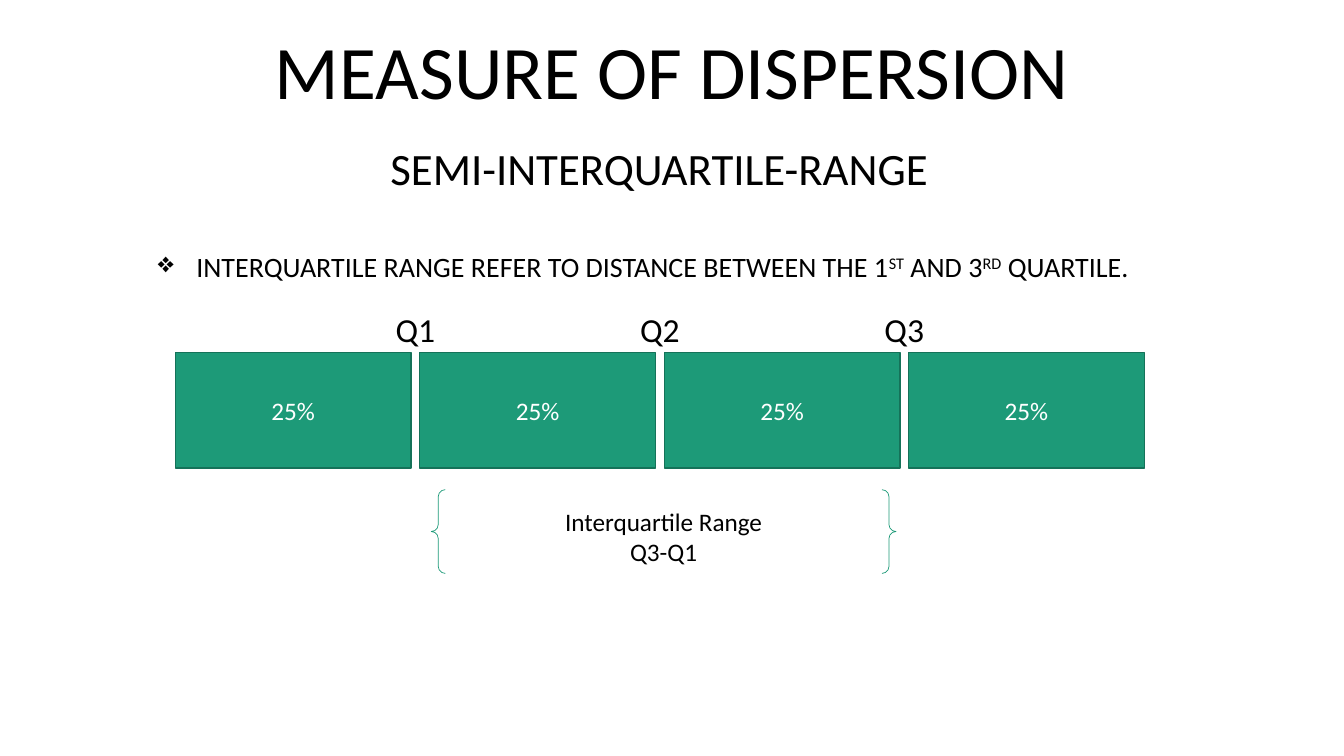
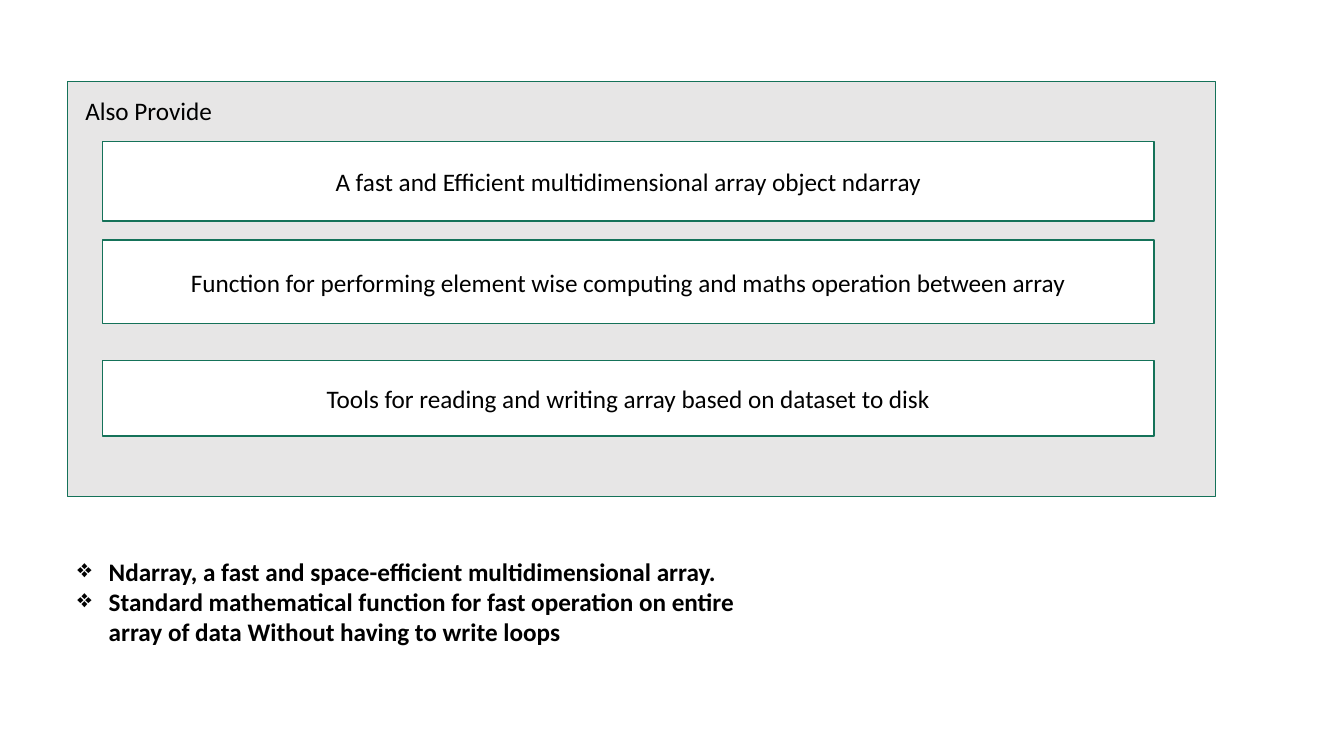
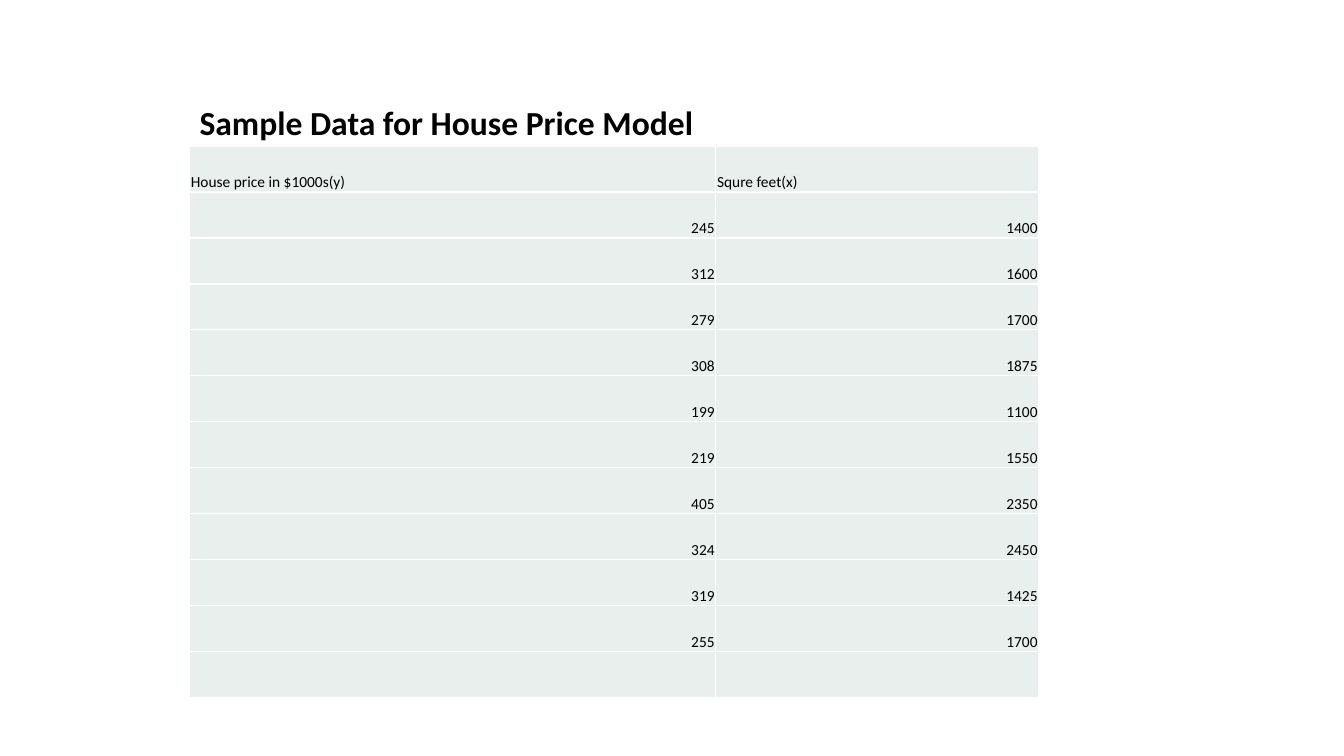
from lxml.etree import SubElement
from pptx import Presentation
from pptx.dml.color import RGBColor
from pptx.enum.shapes import MSO_SHAPE as Preset
from pptx.enum.text import MSO_ANCHOR as Anchor, PP_ALIGN as Align
from pptx.oxml.ns import qn
from pptx.util import Cm, Pt

FONT = "Calibri"
BLACK, WHITE = "000000", "FFFFFF"
GREEN, DARK_GREEN = "1D9A78", "157259"
PANEL_GREY, CELL_TINT = "E7E6E6", "E8EFEC"


def colour(hex_value):
    return RGBColor.from_string(hex_value)


# Shared text and shape helpers
def style(paragraph, size, ink=BLACK, bold=False, align=Align.LEFT):
    paragraph.alignment = align
    font = paragraph.font
    font.name, font.size, font.bold = FONT, Pt(size), bold
    font.color.rgb = colour(ink)


def bullet(paragraph, indent):
    props = paragraph._p.get_or_add_pPr()
    props.set("marL", str(Cm(indent)))
    props.set("indent", str(-Cm(indent)))
    SubElement(props, qn("a:buChar")).set("char", "❖")


def text_box(slide, left, top, width, height):
    frame = slide.shapes.add_textbox(Cm(left), Cm(top), Cm(width), Cm(height)).text_frame
    frame.word_wrap = True
    return frame


def label(slide, left, top, width, height, text, size, **look):
    frame = text_box(slide, left, top, width, height)
    frame.text = text
    for paragraph in frame.paragraphs:
        style(paragraph, size, **look)


def outlined(slide, preset, left, top, width, height, fill=None, line=DARK_GREEN, weight=1):
    shape = slide.shapes.add_shape(preset, Cm(left), Cm(top), Cm(width), Cm(height))
    shape.shadow.inherit = False
    if fill:
        shape.fill.solid()
        shape.fill.fore_color.rgb = colour(fill)
    else:
        shape.fill.background()
    shape.line.color.rgb = colour(line)
    shape.line.width = Pt(weight)
    return shape


def captioned_box(slide, left, top, width, height, text, fill, ink):
    frame = outlined(slide, Preset.RECTANGLE, left, top, width, height, fill).text_frame
    frame.word_wrap = True
    frame.vertical_anchor = Anchor.MIDDLE
    frame.text = text
    style(frame.paragraphs[0], 18, ink, align=Align.CENTER)


# Slide 1: interquartile range
def definition(slide, left, top, width, height):
    frame = text_box(slide, left, top, width, height)
    heading = frame.paragraphs[0]
    heading.text = "SEMI-INTERQUARTILE-RANGE"
    style(heading, 32, align=Align.CENTER)
    meaning = frame.add_paragraph()
    bullet(meaning, 0.97)
    meaning.space_before = Pt(39)
    style(meaning, 20)
    pieces = [("INTERQUARTILE RANGE REFER TO DISTANCE BETWEEN THE 1", False), ("ST", True),
              (" AND 3", False), ("RD", True), (" QUARTILE.", False)]
    for text, raised in pieces:
        run = meaning.add_run()
        run.text = text
        if raised:
            run._r.get_or_add_rPr().set("baseline", "30000")


def quartile_bar(slide, left, top, width, height, gap=0.22, parts=4):
    part_width = (width - (parts - 1) * gap) / parts
    label_width, label_height = 1.5, 1.27
    for index in range(parts):
        x = left + index * (part_width + gap)
        captioned_box(slide, x, top, part_width, height, "25%", GREEN, WHITE)
        if index:
            label(slide, x - (gap + label_width) / 2, top - 1.22, label_width, label_height,
                  f"Q{index}", 24, align=Align.CENTER)


def range_brace(slide, left, top, width, height):
    outlined(slide, Preset.DOUBLE_BRACE, left, top, width, height, line=GREEN, weight=0.5)
    label(slide, left + 2, top + 0.3, width - 4, 1.8,
          "Interquartile Range\nQ3-Q1", 18, align=Align.CENTER)


def dispersion_slide(slide):
    label(slide, 6.48, 0.48, 20.9, 2.57, "MEASURE OF DISPERSION", 54, align=Align.CENTER)
    definition(slide, 3.73, 3.43, 25.78, 3.84)
    quartile_bar(slide, 4.42, 8.89, 24.42, 2.9)
    range_brace(slide, 10.87, 12.34, 11.71, 2.11)


# Slide 2: array features
def feature_panel(slide, left, top, width, height):
    outlined(slide, Preset.RECTANGLE, left, top, width, height, PANEL_GREY)
    label(slide, left + 0.2, top + 0.23, 5, 1.02, "Also Provide", 18)
    features = [
        (1.5, 2.01, "A fast and Efficient multidimensional array object ndarray"),
        (3.99, 2.11, "Function for performing element wise computing and maths operation between array"),
        (7.03, 1.9, "Tools for reading and writing array based on dataset to disk"),
    ]
    for offset, depth, text in features:
        captioned_box(slide, left + 0.89, top + offset, width - 2.44, depth, text, WHITE, BLACK)


def array_notes(slide, left, top, width, height):
    frame = text_box(slide, left, top, width, height)
    frame.text = ("Ndarray, a fast and space-efficient multidimensional array.\n"
                  "Standard mathematical function for fast operation on entire\v"
                  "array of data Without having to write loops")
    for note in frame.paragraphs:
        bullet(note, 0.79)
        style(note, 18, bold=True)


def array_slide(slide):
    feature_panel(slide, 1.7, 2.06, 28.93, 10.46)
    array_notes(slide, 1.7, 13.89, 17.6, 2.57)


# Slide 3: house prices
def border(cell, ink):
    props = cell._tc.get_or_add_tcPr()
    for position, side in enumerate(("a:lnL", "a:lnR", "a:lnT", "a:lnB")):
        edge = props.makeelement(qn(side), {"w": str(Pt(1))})
        fill = SubElement(edge, qn("a:solidFill"))
        SubElement(fill, qn("a:srgbClr")).set("val", ink)
        props.insert(position, edge)


def price_table(slide, left, top, width, height):
    rows = [("House price in $1000s(y)", "Squre feet(x)"),
            (245, 1400), (312, 1600), (279, 1700), (308, 1875), (199, 1100),
            (219, 1550), (405, 2350), (324, 2450), (319, 1425), (255, 1700), ("", "")]
    table = slide.shapes.add_table(len(rows), 2, Cm(left), Cm(top), Cm(width), Cm(height)).table
    price_width = 13.26
    table.columns[0].width = Cm(price_width)
    table.columns[1].width = Cm(width - price_width)
    for row_index, values in enumerate(rows):
        table.rows[row_index].height = Cm(height / len(rows))
        for column_index, value in enumerate(values):
            cell = table.cell(row_index, column_index)
            cell.fill.solid()
            cell.fill.fore_color.rgb = colour(CELL_TINT)
            border(cell, WHITE)
            cell.margin_left = cell.margin_right = cell.margin_top = Cm(0.03)
            cell.margin_bottom = 0
            cell.vertical_anchor = Anchor.BOTTOM
            cell.text = str(value)
            style(cell.text_frame.paragraphs[0], 11,
                  align=Align.RIGHT if row_index else Align.LEFT)


def price_slide(slide):
    price_table(slide, 4.78, 3.68, 21.4, 13.9)
    label(slide, 4.78, 2.44, 13.3, 1.27, "Sample Data for House Price Model", 24, bold=True)


def main():
    deck = Presentation()
    deck.slide_width, deck.slide_height = Cm(33.87), Cm(19.05)
    for build in (dispersion_slide, array_slide, price_slide):
        build(deck.slides.add_slide(deck.slide_layouts[6]))
    deck.save("out.pptx")


if __name__ == "__main__":
    main()
